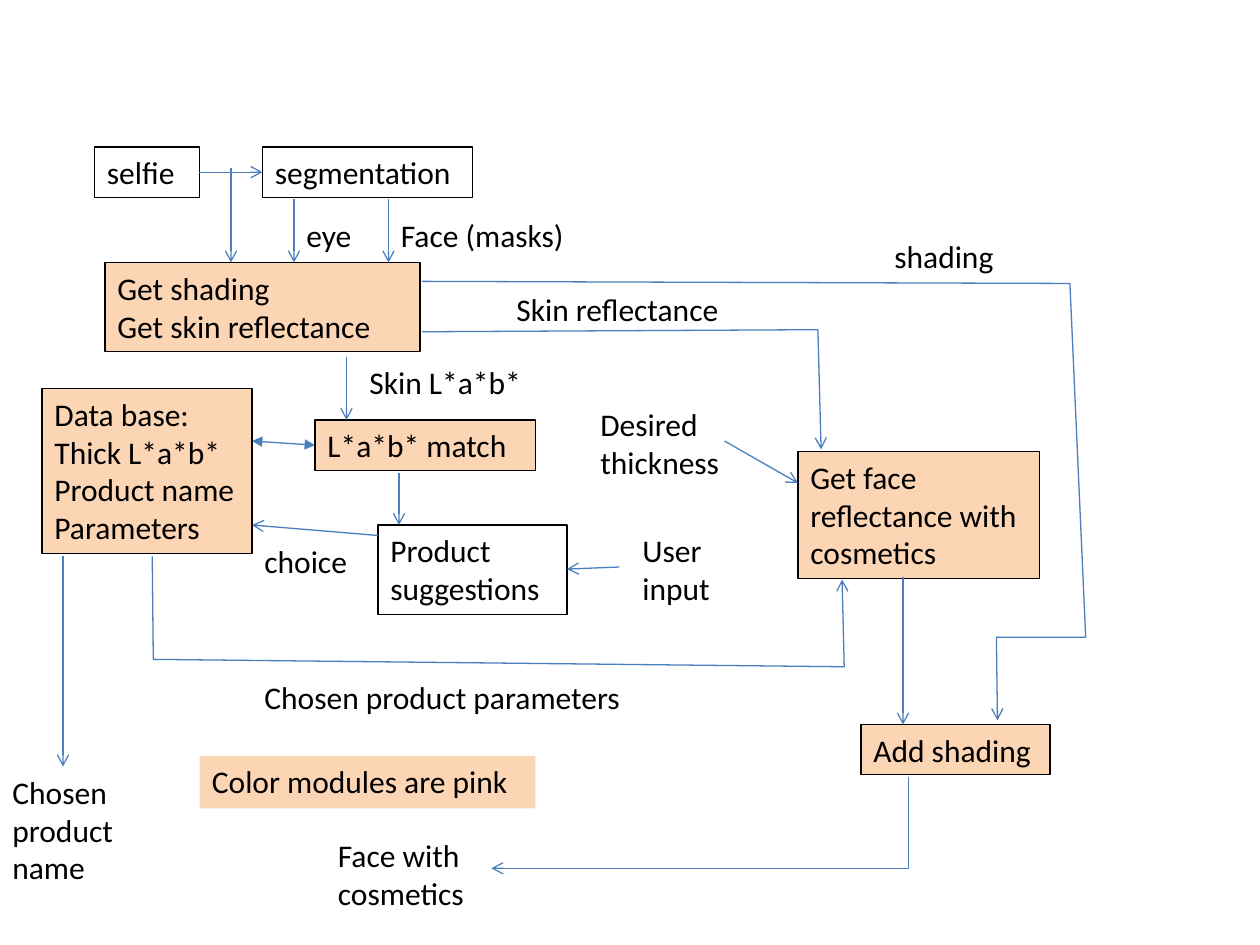
"""Build the flowchart slide of the cosmetics try-on pipeline."""
from lxml.etree import SubElement
from pptx import Presentation
from pptx.dml.color import RGBColor
from pptx.enum.shapes import MSO_CONNECTOR as Connector, MSO_SHAPE as Shape
from pptx.enum.text import MSO_ANCHOR as Anchor, MSO_AUTO_SIZE as AutoSize, PP_ALIGN as Align
from pptx.oxml.ns import qn
from pptx.util import Pt

PX = 7620
PINK, BLACK, BLUE = "FCD5B5", "000000", "4B7EBC"


def write(frame, text):
    frame.text = text
    frame.word_wrap = True
    frame.auto_size = AutoSize.SHAPE_TO_FIT_TEXT
    frame.vertical_anchor = Anchor.TOP
    for paragraph in frame.paragraphs:
        paragraph.alignment = Align.LEFT
        paragraph.font.size = Pt(18)
        paragraph.font.name = "Calibri"
        paragraph.font.color.rgb = RGBColor.from_string(BLACK)


def style_arrow(arrow, tail="arrow", head=None):
    arrow.line.color.rgb = RGBColor.from_string(BLUE)
    arrow.line.width = Pt(0.75)
    outline = arrow.line._get_or_add_ln()
    for end, kind in (("a:headEnd", head), ("a:tailEnd", tail)):
        if kind:
            SubElement(outline, qn(end), type=kind)


deck = Presentation()
deck.slide_width, deck.slide_height = 1200 * PX, 900 * PX
slide = deck.slides.add_slide(deck.slide_layouts[6])
shapes = slide.shapes

modules = [
    ("selfie", 90, 140, 100, 48, None, BLACK),
    ("segmentation", 250, 140, 200, 48, None, BLACK),
    ("Get shading\nGet skin reflectance", 100, 250, 300, 85, PINK, BLACK),
    ("Data base:\nThick L*a*b*\nProduct name\nParameters", 40, 370, 200, 157, PINK, BLACK),
    ("L*a*b* match", 300, 400, 210, 48, PINK, BLACK),
    ("Product suggestions", 360, 500, 180, 85, None, BLACK),
    ("Get face reflectance with cosmetics", 760, 430, 230, 121, PINK, BLACK),
    ("Add shading", 820, 690, 180, 48, PINK, BLACK),
    ("Color modules are pink", 190, 720, 320, 50, PINK, None),
]
for text, left, top, width, height, fill, border in modules:
    module = shapes.add_shape(Shape.RECTANGLE, left * PX, top * PX, width * PX, height * PX)
    module.shadow.inherit = False
    if fill:
        module.fill.solid()
        module.fill.fore_color.rgb = RGBColor.from_string(fill)
    else:
        module.fill.background()
    if border:
        module.line.color.rgb = RGBColor.from_string(border)
        module.line.width = Pt(0.75)
    else:
        module.line.fill.background()
    write(module.text_frame, text)

labels = [
    ("eye", 280, 200, 80, 48),
    ("Face (masks)", 370, 200, 180, 48),
    ("Skin L*a*b*", 340, 340, 200, 48),
    ("Skin reflectance", 480, 270, 230, 48),
    ("shading", 840, 220, 130, 50),
    ("Desired thickness", 560, 380, 150, 85),
    ("User input", 600, 500, 100, 85),
    ("choice", 240, 510, 130, 48),
    ("Chosen product parameters", 240, 640, 390, 48),
    ("Chosen product name", 0, 730, 160, 121),
    ("Face with cosmetics", 310, 790, 160, 85),
]
for text, left, top, width, height in labels:
    label = shapes.add_textbox(left * PX, top * PX, width * PX, height * PX)
    write(label.text_frame, text)

straight_flows = [
    (190, 164, 250, 164, "arrow", None),
    (220, 160, 220, 250, "arrow", None),
    (280, 190, 280, 250, "arrow", None),
    (370, 190, 370, 250, "arrow", None),
    (330, 340, 330, 400, "arrow", None),
    (240, 420, 300, 424, "triangle", "triangle"),
    (380, 450, 380, 500, "arrow", None),
    (590, 540, 540, 542, "arrow", None),
    (360, 510, 240, 500, "arrow", None),
    (60, 530, 60, 730, "arrow", None),
    (860, 550, 860, 690, "arrow", None),
    (690, 420, 760, 460, "arrow", None),
]
for x1, y1, x2, y2, tail, head in straight_flows:
    flow = shapes.add_connector(Connector.STRAIGHT, x1 * PX, y1 * PX, x2 * PX, y2 * PX)
    style_arrow(flow, tail, head)
    SubElement(flow._element.spPr, qn("a:effectLst"))

bent_flows = [
    [(145, 530), (146, 628), (804, 635), (802, 552)],
    [(865, 740), (865, 827), (468, 827)],
    [(402, 316), (779, 314), (782, 428)],
    [(402, 268), (1019, 270), (1034, 607), (949, 607), (950, 686)],
]
for start, *bends in bent_flows:
    builder = shapes.build_freeform(*start, scale=PX)
    builder.add_line_segments(bends, close=False)
    flow = builder.convert_to_shape()
    flow.fill.background()
    flow.shadow.inherit = False
    style_arrow(flow)

deck.save("out.pptx")
